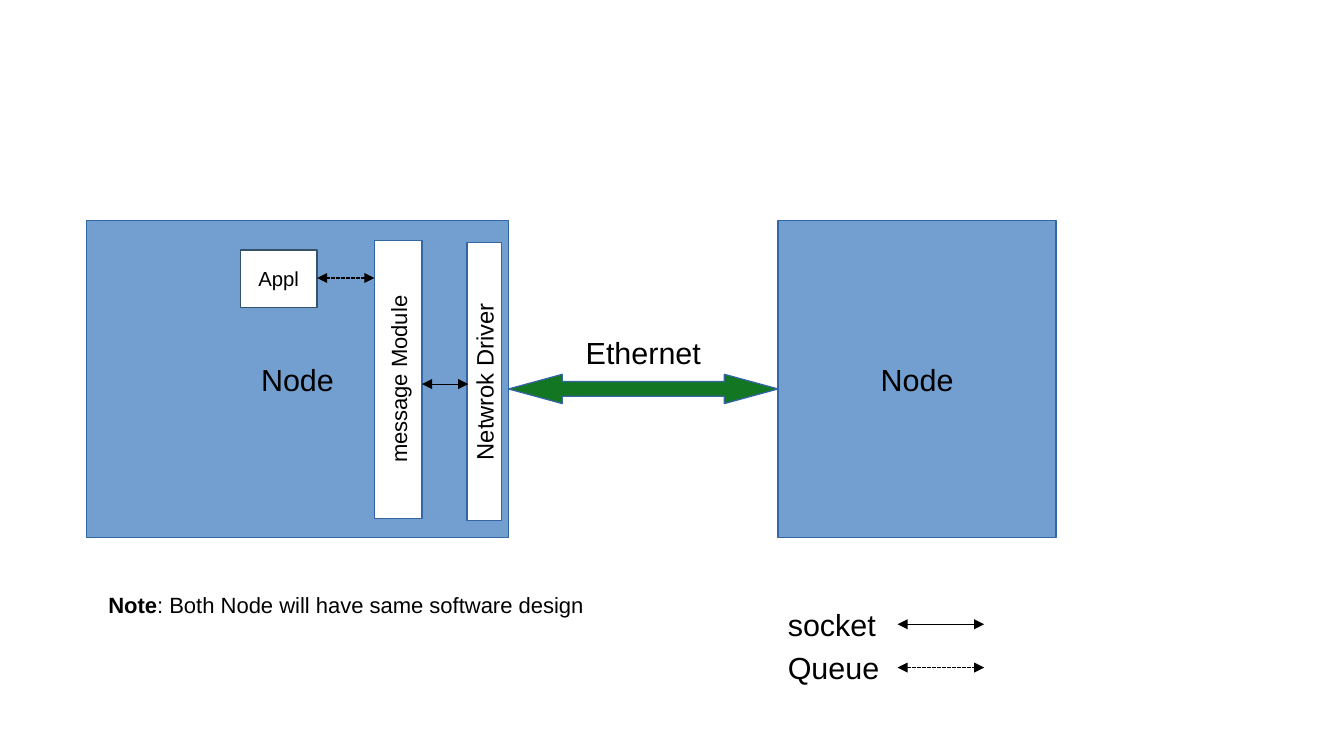
from dataclasses import dataclass

from lxml import etree
from pptx import Presentation
from pptx.dml.color import RGBColor
from pptx.enum.dml import MSO_LINE
from pptx.enum.shapes import MSO_CONNECTOR, MSO_SHAPE
from pptx.enum.text import MSO_ANCHOR, PP_ALIGN
from pptx.oxml.ns import qn
from pptx.util import Inches, Pt

RECT, ARROW = MSO_SHAPE.RECTANGLE, MSO_SHAPE.LEFT_RIGHT_ARROW
STRAIGHT, DASH = MSO_CONNECTOR.STRAIGHT, MSO_LINE.SQUARE_DOT
MIDDLE, TOP = MSO_ANCHOR.MIDDLE, MSO_ANCHOR.TOP
CENTER, LEFT = PP_ALIGN.CENTER, PP_ALIGN.LEFT
BOARD = "Node"


@dataclass(frozen=True)
class Theme:
    font: str = "Arial"
    ink: str = "000000"
    white: str = "FFFFFF"
    blue: str = "729FCF"
    edge: str = "3465A4"
    slate: str = "355269"
    green: str = "127622"
    big: int = 18
    label: int = 14
    note: int = 13
    small: int = 12
    line: float = 0.75
    hair: float = 0.25


THEME = Theme()


def color(code):
    return RGBColor.from_string(code)


def write(shape, *runs, size=THEME.big, align=CENTER, anchor=MIDDLE,
          wrap=False, inset=0.1):
    """Fill a shape with runs, each given as (text, bold)."""
    frame = shape.text_frame
    frame.word_wrap = wrap
    frame.vertical_anchor = anchor
    frame.margin_left = Inches(inset)
    para = frame.paragraphs[0]
    para.alignment = align
    for text, bold in runs:
        run = para.add_run()
        run.text = text
        run.font.name = THEME.font
        run.font.size = Pt(size)
        run.font.bold = bold
        run.font.color.rgb = color(THEME.ink)


def label(slide, box, *runs, **style):
    shape = slide.shapes.add_textbox(*map(Inches, box))
    write(shape, *runs, anchor=TOP, wrap=True, **style)


def block(slide, box, fill, edge=THEME.edge, kind=RECT):
    shape = slide.shapes.add_shape(kind, *map(Inches, box))
    shape.shadow.inherit = False
    shape.fill.solid()
    shape.fill.fore_color.rgb = color(fill)
    shape.line.color.rgb = color(edge)
    shape.line.width = Pt(THEME.line)
    return shape


def column(slide, box, text, size):
    """Draw an upright bar whose text reads from bottom to top."""
    x, y, w, h = box
    flat = (x + (w - h) / 2, y + (h - w) / 2, h, w)
    shape = block(slide, flat, THEME.white)
    shape.rotation = 270
    write(shape, (text, False), size=size)


def link(slide, x, y, length, queue=False):
    """Draw a two-headed link: dashed for a queue, thin for a socket."""
    wire = slide.shapes.add_connector(
        STRAIGHT, *map(Inches, (x, y, x + length, y)))
    wire.line.color.rgb = color(THEME.ink)
    wire.line.width = Pt(THEME.line if queue else THEME.hair)
    if queue:
        wire.line.dash_style = DASH
    props = wire.line._get_or_add_ln()
    for end in ("a:headEnd", "a:tailEnd"):
        etree.SubElement(props, qn(end), type="triangle")
    etree.SubElement(wire._element.spPr, qn("a:effectLst"))


def board(slide, box):
    write(block(slide, box, THEME.blue), (BOARD, False))


def stack(slide, box):
    """Place the software modules on a board."""
    x, y, _, _ = box
    board(slide, box)
    column(slide, (x + 2.36, y + 0.16, 0.39, 2.28), "message Module",
           THEME.note)
    column(slide, (x + 3.12, y + 0.18, 0.28, 2.28), "Netwrok Driver",
           THEME.label)
    app = block(slide, (x + 1.26, y + 0.24, 0.63, 0.47), THEME.white,
                THEME.slate)
    write(app, ("Appl", False), size=THEME.small)
    link(slide, x + 1.89, y + 0.47, 0.47, queue=True)
    link(slide, x + 2.75, y + 1.34, 0.38)


def cable(slide, box):
    x, y, w, h = box
    text_h = 0.38
    label(slide, (x, y, w, text_h), ("Ethernet", False))
    thick = h - text_h
    arrow = block(slide, (x, y + text_h, w, thick), THEME.green, kind=ARROW)
    arrow.adjustments[0] = 0.5
    arrow.adjustments[1] = 0.44 / thick


def legend(slide, box):
    x, y, w, h = box
    step = h / 2
    for row, name in enumerate(("socket", "Queue")):
        top = y + row * step
        label(slide, (x, top, w, step), (name, False), align=LEFT, inset=0.16)
        link(slide, x + 1.06, top + 0.2, 0.71, queue=name == "Queue")


def main():
    deck = Presentation()
    deck.slide_width, deck.slide_height = Inches(11.02), Inches(6.2)
    slide = deck.slides.add_slide(deck.slide_layouts[6])

    # Boards and the cable between them
    stack(slide, (0.71, 1.81, 3.46, 2.6))
    board(slide, (6.38, 1.81, 2.28, 2.6))
    cable(slide, (4.17, 2.69, 2.21, 0.62))

    # Note and legend
    label(slide, (0.79, 4.8, 4.49, 0.5), ("Note", True),
          (f": Both {BOARD} will have same software design", False),
          size=THEME.note, align=LEFT)
    legend(slide, (6.3, 4.92, 1.77, 0.71))

    deck.save("out.pptx")


if __name__ == "__main__":
    main()
